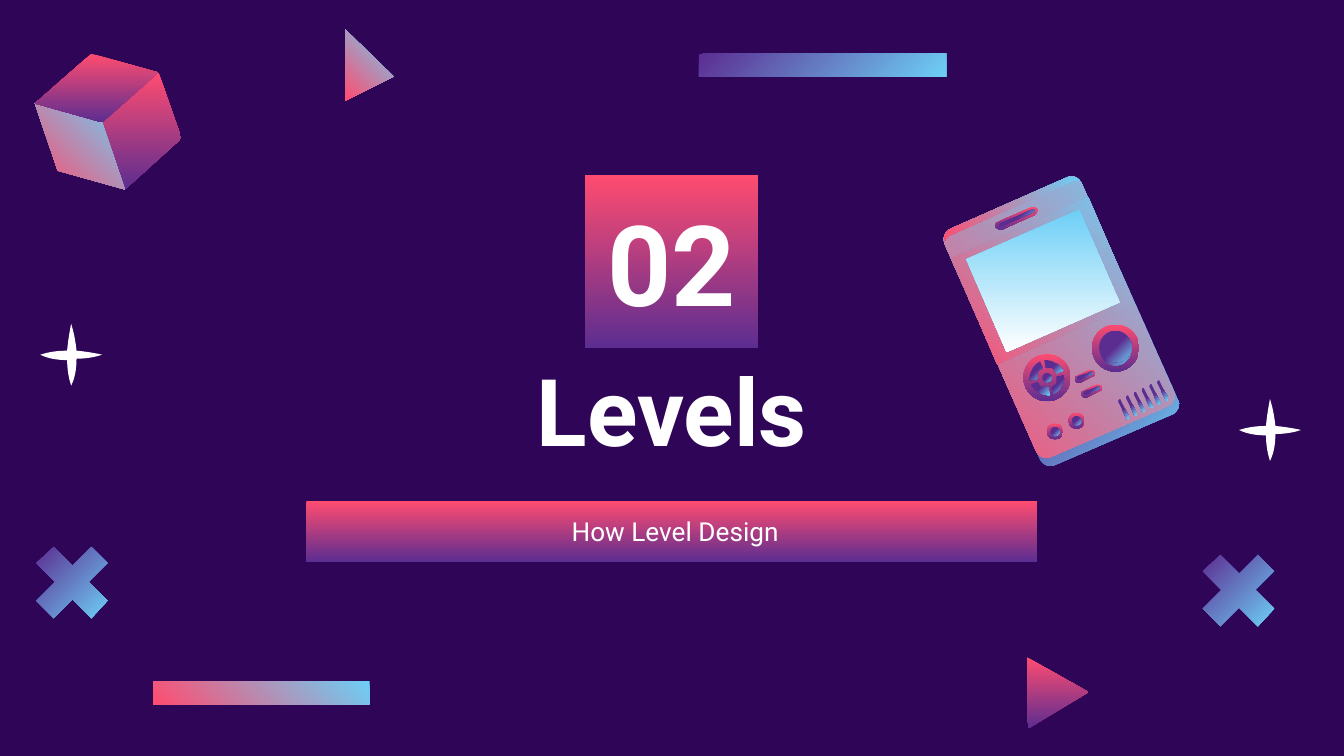
from copy import deepcopy

from pptx import Presentation
from pptx import util as u
from pptx.dml.color import RGBColor
from pptx.enum import shapes, text

COLORS = {"night": "2E0557", "pink": "FF4C70", "violet": "5C2D91", "sky": "6DCFF6", "white": "FFFFFF"}
SUNSET = (90, "pink", "violet")
CANDY = (135, "sky", "pink")
DUSK = (45, "violet", "sky")
DEEP = (45, "violet", "violet", "sky")
SCREEN = (90, "sky", "white")
WHITE = (0, "white")

SPARKLE = (
    "0.53 2.41, 0.53 2.41 0.51 2.5 0.5 2.61, 0.43 2.61 0.36 2.62 0.3 2.64, "
    "0.36 2.67 0.43 2.68 0.5 2.68, 0.5 2.74 0.51 2.81 0.53 2.87, "
    "0.56 2.81 0.57 2.74 0.57 2.67, 0.68 2.67 0.76 2.64 0.76 2.64, "
    "0.76 2.64 0.68 2.62 0.57 2.61, 0.56 2.5 0.53 2.41 0.53 2.41"
)
CROSS = (
    "0.54 4.46, 0.68 4.6, 0.8 4.47, 0.66 4.33, 0.8 4.19, 0.68 4.07, "
    "0.54 4.21, 0.4 4.07, 0.27 4.19, 0.41 4.33, 0.27 4.47, 0.4 4.6"
)
CUBE = {
    "1.18 0.54, 0.76 0.91, 0.93 1.41, 1.35 1.03": SUNSET,
    "0.76 0.91, 0.26 0.77, 0.43 1.27, 0.93 1.41": CANDY,
    "0.68 0.4, 0.26 0.77, 0.76 0.91, 1.18 0.54": SUNSET,
}
BODY = (
    "8.74 2.93, 8.05 1.37, 8.03 1.32 7.98 1.3 7.94 1.32, 7.08 1.7, "
    "7.03 1.72 7.01 1.77 7.03 1.82, 7.71 3.36, 7.73 3.4 7.78 3.42 7.82 3.4, "
    "8.7 3.02, 8.73 3 8.75 2.96 8.74 2.93"
)
BEZEL = "7.08 1.92, 7.42 2.71, 8.44 2.26, 8.1 1.47"
DISPLAY = "8.33 2.25, 7.49 2.62, 7.19 1.93, 8.03 1.56"
SLIT = (
    "8.34 2.98, 8.34 2.97 8.33 2.97 8.33 2.97, 8.32 2.98 8.32 2.98 8.32 2.99, "
    "8.38 3.11, 8.38 3.12 8.39 3.12 8.4 3.12, 8.4 3.11 8.4 3.1 8.4 3.1"
)
PILL = {
    "8.16 2.86, 8.06 2.91, 8.05 2.91 8.04 2.93 8.05 2.94, 8.05 2.95 8.07 2.96 8.08 2.96, "
    "8.18 2.91, 8.2 2.91 8.2 2.89 8.2 2.88, 8.19 2.86 8.17 2.86 8.16 2.86": SUNSET,
    "8.16 2.88, 8.07 2.91, 8.06 2.92 8.06 2.92 8.06 2.93, 8.07 2.94 8.08 2.94 8.08 2.94, "
    "8.17 2.9, 8.18 2.9 8.18 2.89 8.18 2.88, 8.18 2.88 8.17 2.87 8.16 2.88": DEEP,
}
PAD_CENTER = (7.79, 2.81)
PAD_ARM = (
    "7.72 2.77, 7.73 2.76 7.74 2.75 7.76 2.74, 7.74 2.69, 7.72 2.7 7.69 2.72 7.68 2.75, "
    "7.66 2.78 7.66 2.81 7.66 2.83, 7.72 2.82, 7.72 2.8 7.72 2.79 7.72 2.77"
)
TOP_EDGE = (
    "7.07 1.75, 7.98 1.35, 8 1.34 8.02 1.34 8.04 1.35, 8.01 1.32 7.97 1.31 7.94 1.32, "
    "7.08 1.7, 7.04 1.71 7.02 1.76 7.03 1.79, 7.04 1.77 7.05 1.76 7.07 1.75"
)
SPEAKER = {
    "7.68 1.54, 7.43 1.65, 7.41 1.66 7.4 1.68 7.41 1.69, 7.42 1.7 7.43 1.71 7.45 1.71, "
    "7.7 1.6, 7.71 1.59 7.72 1.57 7.72 1.56, 7.71 1.54 7.69 1.54 7.68 1.54": SUNSET,
    "7.68 1.56, 7.44 1.66, 7.43 1.67 7.43 1.67 7.43 1.68, 7.43 1.69 7.44 1.69 7.45 1.69, "
    "7.69 1.58, 7.7 1.58 7.7 1.57 7.7 1.56, 7.69 1.56 7.69 1.56 7.68 1.56": DEEP,
}


def rgb(name):
    """Look up a palette colour."""
    return RGBColor.from_string(COLORS[name])


def trace(path, steps=8):
    """Turn comma-separated line ends and Bezier triples into points."""
    points = []
    for part in path.split(","):
        n = [float(value) for value in part.split()]
        if len(n) == 2:
            points.append(tuple(n))
            continue
        ends = [points[-1], *zip(n[::2], n[1::2])]
        for i in range(1, steps + 1):
            t = i / steps
            weights = ((1 - t) ** 3, 3 * t * (1 - t) ** 2, 3 * t * t * (1 - t), t**3)
            points.append(tuple(sum(w * p[axis] for w, p in zip(weights, ends)) for axis in (0, 1)))
    return points


def write(frame, words, *, size, bold=False, anchor=text.MSO_ANCHOR.MIDDLE):
    """Write one centred line in a text frame."""
    frame.word_wrap = True
    frame.vertical_anchor = anchor
    frame.margin_left = frame.margin_right = frame.margin_top = frame.margin_bottom = u.Inches(0.1)
    line = frame.paragraphs[0]
    line.alignment = text.PP_ALIGN.CENTER
    run = line.add_run()
    run.text = words
    run.font.name = "Roboto"
    run.font.size = u.Pt(size)
    run.font.bold = bold
    run.font.color.rgb = rgb("white")


class Painter:
    """Draws the slide's elements in the shared style."""

    def __init__(self, slide):
        """Keep the slide and paint its background."""
        self.slide = slide
        slide.background.fill.solid()
        slide.background.fill.fore_color.rgb = rgb("night")

    def paint(self, shape, look):
        """Fill a shape with one colour or a gradient, with no line or shadow."""
        angle, *names = look
        shape.shadow.inherit = False
        shape.line.fill.background()
        if len(names) == 1:
            shape.fill.solid()
            shape.fill.fore_color.rgb = rgb(names[0])
            return shape
        shape.fill.gradient()
        shape.fill.gradient_angle = 360 - angle
        stops = shape.fill.gradient_stops
        if len(names) == 3:
            first = shape.fill._fill._gradFill.gsLst[0]
            first.addnext(deepcopy(first))
            stops = shape.fill.gradient_stops
        for i, (stop, name) in enumerate(zip(stops, names)):
            stop.position = i / (len(names) - 1)
            stop.color.rgb = rgb(name)
        return shape

    def outline(self, path, look, shift=(0, 0), turns=0, center=(0, 0)):
        """Draw a closed outline, shifted or turned by quarters."""
        points = trace(path)
        cx, cy = center
        for _ in range(turns):
            points = [(cx - y + cy, cy + x - cx) for x, y in points]
        points = [(u.Inches(x + shift[0]), u.Inches(y + shift[1])) for x, y in points]
        builder = self.slide.shapes.build_freeform(*points[0])
        builder.add_line_segments(points[1:], close=True)
        return self.paint(builder.convert_to_shape(), look)

    def preset(self, kind, look, *box):
        """Draw a preset shape in a box given in inches."""
        return self.paint(self.slide.shapes.add_shape(kind, *map(u.Inches, box)), look)

    def bar(self, look, *box):
        """Draw a rectangle."""
        return self.preset(shapes.MSO_SHAPE.RECTANGLE, look, *box)

    def disc(self, look, x, y, width, height=None):
        """Draw an ellipse around a centre."""
        height = height or width
        return self.preset(shapes.MSO_SHAPE.OVAL, look, x - width / 2, y - height / 2, width, height)

    def title(self, words, *box):
        """Place the heading."""
        heading = self.slide.shapes.add_textbox(*map(u.Inches, box))
        write(heading.text_frame, words, size=50, bold=True, anchor=text.MSO_ANCHOR.BOTTOM)


def draw_scenery(painter):
    """Draw the loose ornaments and the cube."""
    painter.outline("2.57 0.22, 2.57 0.75, 2.93 0.57", CANDY)
    painter.outline("7.64 4.89, 8.1 5.15, 7.65 5.42", SUNSET)
    painter.bar(DUSK, 5.2, 0.4, 1.84, 0.17)
    painter.bar(CANDY, 1.14, 5.07, 1.61, 0.17)
    for shift in ((0, 0), (8.92, 0.56)):
        painter.outline(SPARKLE, WHITE, shift)
    for shift in ((8.68, 0.06), (0, 0)):
        painter.outline(CROSS, DUSK, shift)
    for face, look in CUBE.items():
        painter.outline(face, look)


def draw_console(painter):
    """Draw the handheld console."""
    painter.outline(BODY, DEEP, (0.03, 0.06))
    painter.outline(BODY, CANDY)
    painter.outline(BEZEL, CANDY)
    painter.outline(DISPLAY, SCREEN)
    for i in range(6):
        painter.outline(SLIT, DEEP, (0.29 * i / 5, -0.14 * i / 5))
    for shift in ((0, 0), (-0.05, -0.11)):
        for pill, look in PILL.items():
            painter.outline(pill, look, shift)
    painter.disc(SUNSET, *PAD_CENTER, 0.35)
    for turns in range(4):
        painter.outline(PAD_ARM, DEEP, turns=turns, center=PAD_CENTER)
    painter.disc(DEEP, *PAD_CENTER, 0.07)
    painter.disc(SUNSET, 8.3, 2.59, 0.35)
    painter.disc(DEEP, 8.3, 2.59, 0.24, 0.26)
    painter.disc(DEEP, 8.3, 2.58, 0.24, 0.23)
    for x, y in ((8.01, 3.13), (7.85, 3.21)):
        painter.disc(SUNSET, x, y, 0.12)
        painter.disc(DEEP, x, y, 0.07)
    painter.outline(TOP_EDGE, CANDY)
    for layer, look in SPEAKER.items():
        painter.outline(layer, look)


def main():
    """Build the section slide."""
    deck = Presentation()
    deck.slide_width, deck.slide_height = u.Inches(10), u.Inches(10 * 9 / 16)
    painter = Painter(deck.slides.add_slide(deck.slide_layouts[6]))
    draw_scenery(painter)
    painter.title("Levels", 2.28, 2.64, 5.44, 0.92)
    number = painter.bar(SUNSET, 4.35, 1.3, 1.29, 1.29)
    write(number.text_frame, "02", size=60, bold=True)
    subtitle = painter.bar(SUNSET, 2.28, 3.73, 5.44, 0.45)
    write(subtitle.text_frame, " How Level Design", size=14)
    draw_console(painter)
    deck.save("out.pptx")


if __name__ == "__main__":
    main()
